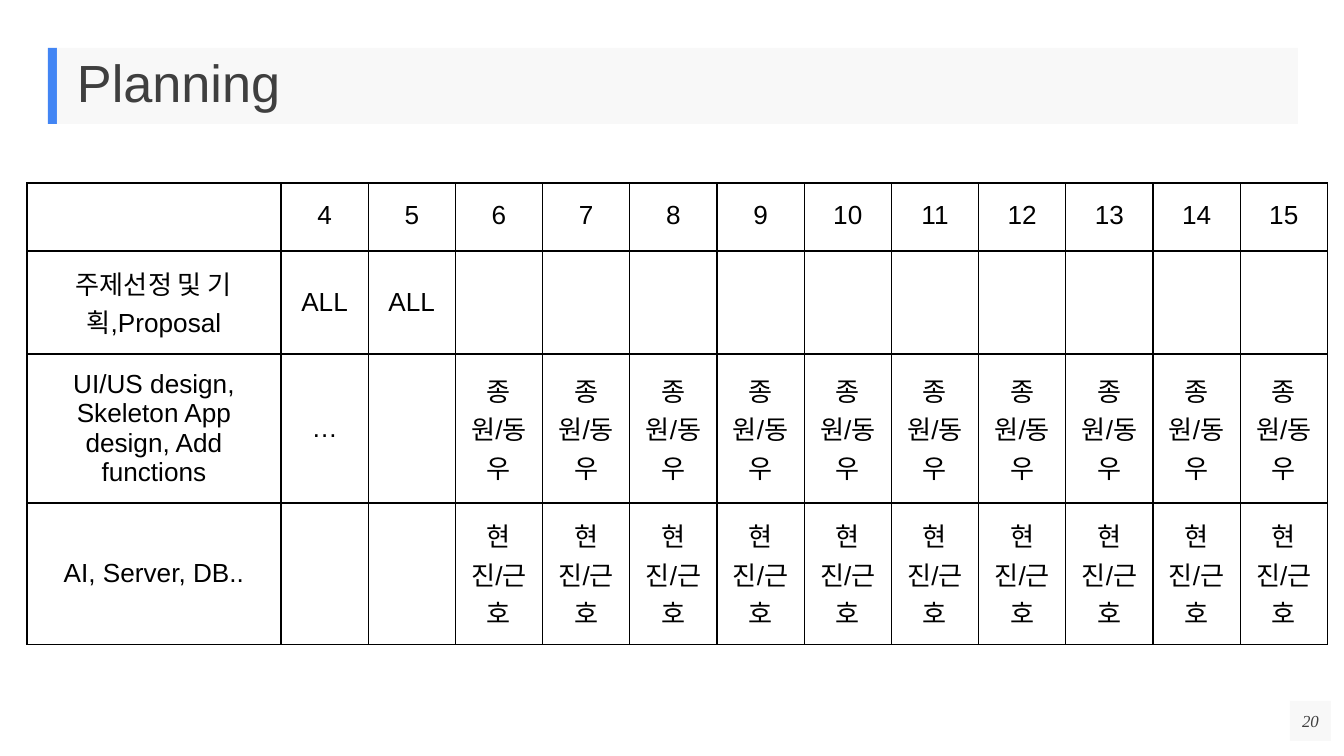
from lxml.etree import SubElement
from pptx import Presentation
from pptx.dml.color import RGBColor
from pptx.enum.shapes import MSO_SHAPE as Shape
from pptx.enum.text import MSO_ANCHOR as Anchor, PP_ALIGN as Align
from pptx.oxml import parse_xml
from pptx.oxml.ns import nsdecls, qn

COLORS = {"blue": "4285F4", "gray": "F2F2F2", "dark": "3F3F3F", "black": "000000"}
TITLE = "Planning"
PAGE = "20"
WEEKS = range(4, 16)
# Task, then who works on it in each week
TASKS = [
    ("주제선정 및 기획,Proposal", ["ALL"] * 2 + [""] * 10),
    ("UI/US design, Skeleton App design, Add functions",
     ["…", ""] + ["종원/동우"] * 10),
    ("AI, Server, DB..", ["", ""] + ["현진/근호"] * 10),
]
HEIGHTS = [63, 89, 149, 89]
LEFT, TOP, WIDTH, FIRST = 27, 183, 1301, 254
SCALE = 914400 / 134.4


def px(n):
    return round(n * SCALE)


def write(frame, text, size, color, font="Arial", **form):
    para = frame.paragraphs[0]
    for key, value in form.items():
        setattr(para, key, value)
    run = para.add_run()
    run.text = text
    run.font.name, run.font.size = font, px(size * 134.4 / 72)
    run.font.color.rgb = RGBColor.from_string(COLORS[color])
    return run


def block(slide, box, color, alpha=None, inset=0):
    """Add a plain rectangle and return its text frame."""
    rect = slide.shapes.add_shape(Shape.RECTANGLE, *map(px, box))
    rect.shadow.inherit = False
    rect.line.fill.background()
    rect.fill.solid()
    rect.fill.fore_color.rgb = RGBColor.from_string(COLORS[color])
    if alpha:
        tone = rect.fill._xPr.find(".//" + qn("a:srgbClr"))
        SubElement(tone, qn("a:alpha"), val=str(alpha * 1000))
    frame = rect.text_frame
    form = {"margin_left": px(inset), "margin_right": 0, "margin_top": 0,
            "margin_bottom": 0, "vertical_anchor": Anchor.MIDDLE, "word_wrap": True}
    for key, value in form.items():
        setattr(frame, key, value)
    return frame


def border(cell):
    props = cell._tc.get_or_add_tcPr()
    for i, side in enumerate(("lnL", "lnR", "lnT", "lnB")):
        props.insert(i, parse_xml(
            f'<a:{side} {nsdecls("a")} w="9525"><a:solidFill>'
            f'<a:srgbClr val="{COLORS["black"]}"/></a:solidFill></a:{side}>'))


def plan(slide):
    rows = [("", WEEKS), *TASKS]
    count = len(WEEKS)
    table = slide.shapes.add_table(len(rows), count + 1, px(LEFT), px(TOP),
                                   px(WIDTH), px(sum(HEIGHTS))).table
    table.first_row = table.horz_banding = False
    for i, col in enumerate(table.columns):
        col.width = px((WIDTH - FIRST) / count if i else FIRST)
    for r, (task, marks) in enumerate(rows):
        table.rows[r].height = px(HEIGHTS[r])
        for c, text in enumerate([task, *marks]):
            cell = table.cell(r, c)
            cell.fill.background()
            border(cell)
            for side in ("left", "right", "top", "bottom"):
                setattr(cell, f"margin_{side}", px(13.44))
            cell.vertical_anchor = Anchor.MIDDLE if r else Anchor.TOP
            if text:
                write(cell.text_frame, str(text), 14, "black",
                      alignment=Align.CENTER, line_spacing=1.0 if r else 1.15)


def main():
    deck = Presentation()
    deck.slide_width, deck.slide_height = px(1344), px(756)
    slide = deck.slides.add_slide(deck.slide_layouts[6])
    block(slide, (48, 48, 9, 76), "blue")
    head = block(slide, (57, 48, 1241, 76), "gray", 50, 20)
    write(head, TITLE, 28, "dark", alignment=Align.LEFT, line_spacing=0.9)
    foot = block(slide, (1290, 701, 41, 40), "gray", 50)
    write(foot, PAGE, 9, "dark", "Times New Roman",
          alignment=Align.CENTER).font.italic = True
    plan(slide)
    deck.save("out.pptx")


if __name__ == "__main__":
    main()
